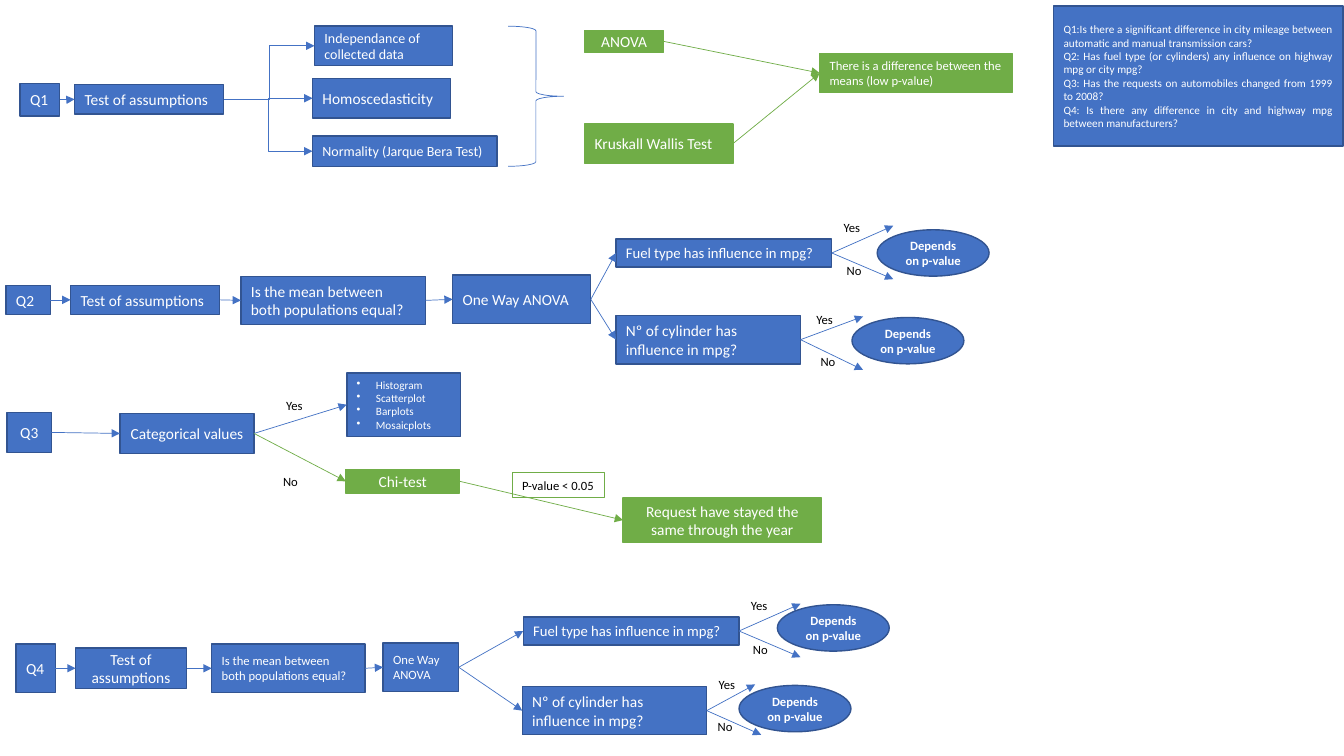
from lxml import etree
from pptx import Presentation
from pptx.dml.color import RGBColor
from pptx.enum.shapes import MSO_CONNECTOR, MSO_SHAPE
from pptx.enum.text import MSO_ANCHOR, PP_ALIGN
from pptx.oxml.ns import qn
from pptx.util import Inches, Pt

RECT, OVAL, BRACE = MSO_SHAPE.RECTANGLE, MSO_SHAPE.OVAL, MSO_SHAPE.RIGHT_BRACE
STRAIGHT, ELBOW = MSO_CONNECTOR.STRAIGHT, MSO_CONNECTOR.ELBOW
LEFT, CENTER, JUSTIFY = PP_ALIGN.LEFT, PP_ALIGN.CENTER, PP_ALIGN.JUSTIFY
TOP, MIDDLE = MSO_ANCHOR.TOP, MSO_ANCHOR.MIDDLE
FONT = "Calibri"
BLUE, NAVY, GREEN, WHITE, BLACK = "4472C4", "325491", "70AD47", "FFFFFF", "000000"

TEST = "Test of assumptions"
MEAN = "Is the mean between both populations equal?"
FUEL = "Fuel type has influence in mpg?"
CYLINDER = "Nº of cylinder has influence in mpg?"
VERDICT = "Depends on p-value"

# key: (text, (left, top, width, height), size, alignment)
BLUE_STEPS = {
    "q1": ("Q1", (0.2, 0.83, 0.39, 0.32), 11, LEFT),
    "test1": (TEST, (0.74, 0.84, 1.48, 0.29), 11, LEFT),
    "independence": ("Independance of collected data", (3.12, 0.26, 1.37, 0.39), 10, LEFT),
    "variance": ("Homoscedasticity", (3.1, 0.78, 1.37, 0.39), 11, LEFT),
    "normality": ("Normality (Jarque Bera Test)", (3.1, 1.35, 1.83, 0.3), 10, LEFT),
    "q2": ("Q2", (0.06, 2.83, 0.44, 0.29), 11, LEFT),
    "test2": (TEST, (0.7, 2.83, 1.48, 0.29), 11, LEFT),
    "mean2": (MEAN, (2.39, 2.74, 1.83, 0.48), 11, LEFT),
    "anova2": ("One Way ANOVA", (4.49, 2.73, 1.37, 0.48), 11, LEFT),
    "fuel2": (FUEL, (6.11, 2.37, 2.14, 0.28), 10.5, LEFT),
    "cylinder2": (CYLINDER, (6.11, 3.13, 1.83, 0.48), 11, LEFT),
    "q3": ("Q3", (0.07, 4.09, 0.44, 0.4), 11, CENTER),
    "categories": ("Categorical values", (1.19, 4.1, 1.33, 0.4), 11, CENTER),
    "q4": ("Q4", (0.16, 6.39, 0.39, 0.48), 11, LEFT),
    "test4": (TEST, (0.75, 6.43, 1.1, 0.4), 11, CENTER),
    "mean4": (MEAN, (2.1, 6.39, 1.52, 0.48), 9, LEFT),
    "anova4": ("One Way ANOVA", (3.8, 6.38, 0.75, 0.48), 9, LEFT),
    "fuel4": (FUEL, (5.19, 6.12, 2.14, 0.28), 10.5, LEFT),
    "cylinder4": (CYLINDER, (5.18, 6.81, 1.83, 0.48), 11, LEFT),
    "questions": (
        "Q1:Is there a significant difference in city mileage between automatic "
        "and manual transmission cars?\n"
        "Q2: Has fuel type (or cylinders) any influence on highway mpg or city mpg?\n"
        "Q3: Has the requests on automobiles changed from 1999 to 2008?\n"
        "Q4: Is there any difference in city and highway mpg between manufacturers?",
        (10.45, 0.06, 2.87, 1.39), 8, JUSTIFY),
    "plots": ("Histogram\nScatterplot\nBarplots\nMosaicplots",
              (3.44, 3.7, 1.13, 0.63), 8, LEFT),
}
GREEN_STEPS = {
    "anova1": ("ANOVA", (5.8, 0.3, 0.78, 0.22), 11, CENTER),
    "kruskall": ("Kruskall Wallis Test", (5.8, 1.23, 1.47, 0.39), 11, LEFT),
    "difference": ("There is a difference between the means (low p-value)",
                   (8.13, 0.53, 1.91, 0.39), 9, LEFT),
    "chi": ("Chi-test", (3.43, 4.66, 1.13, 0.23), 11, CENTER),
    "same": ("Request have stayed the same through the year",
             (6.18, 4.94, 1.97, 0.44), 11, CENTER),
}
STEPS = BLUE_STEPS | GREEN_STEPS
BRACE_AT = (5.04, 0.26, 0.55, 1.39)
THRESHOLD = ("P-value < 0.05", (5.08, 4.69, 0.92, 0.25))
ANSWERS = [("Yes", (2.74, 3.9)), ("No", (2.71, 4.65))]

# (connector, colour, [(from, to), ...])
LINKS = [
    (ELBOW, BLUE, [("q1", "test1"), ("test1", "independence"),
                   ("test1", "variance"), ("test1", "normality")]),
    (STRAIGHT, BLUE, [("q2", "test2"), ("test2", "mean2"), ("mean2", "anova2"),
                      ("anova2", "fuel2"), ("anova2", "cylinder2"),
                      ("q3", "categories"), ("categories", "plots"),
                      ("q4", "test4"), ("test4", "mean4"), ("mean4", "anova4"),
                      ("anova4", "fuel4"), ("anova4", "cylinder4")]),
    (STRAIGHT, GREEN, [("anova1", "difference"), ("kruskall", "difference"),
                       ("categories", "chi"), ("chi", "same")]),
]
# step: (yes tip, no tip, yes label, no label, verdict)
FORKS = {
    "fuel2": ((8.86, 2.24), (8.86, 2.77), (8.27, 2.13), (8.3, 2.56), (8.7, 2.28)),
    "cylinder2": ((8.56, 3.14), (8.56, 3.67), (8, 3.04), (8.04, 3.46), (8.45, 3.15)),
    "fuel4": ((7.94, 5.99), (7.94, 6.52), (7.35, 5.88), (7.37, 6.32), (7.71, 6)),
    "cylinder4": ((7.49, 6.79), (7.55, 7.29), (7.03, 6.67), (7.02, 7.08), (7.33, 6.8)),
}
LABEL_SIZE, VERDICT_SIZE = (0.46, 0.25), (1.11, 0.46)


def rgb(color):
    """Turn a hex string into a colour."""
    return RGBColor.from_string(color)


def write(shape, text, size, color, align=LEFT, anchor=TOP, bold=False):
    """Fill a shape with one paragraph per line of text."""
    frame = shape.text_frame
    frame.word_wrap, frame.vertical_anchor = True, anchor
    frame.text = text
    font_format = {"name": FONT, "size": Pt(size), "bold": bold}
    for paragraph in frame.paragraphs:
        paragraph.alignment = align
        for key, value in font_format.items():
            setattr(paragraph.font, key, value)
        paragraph.font.color.rgb = rgb(color)


def draw(kind, place, fill, line, width):
    """Add a preset shape, unfilled when fill is None."""
    shape = slide.shapes.add_shape(kind, *map(Inches, place))
    shape.shadow.inherit = False
    if fill:
        shape.fill.solid()
        shape.fill.fore_color.rgb = rgb(fill)
    else:
        shape.fill.background()
    shape.line.color.rgb, shape.line.width = rgb(line), Pt(width)
    return shape


def arrow(start, end, color, kind=STRAIGHT):
    """Add a thin connector with a triangle at its end."""
    connector = slide.shapes.add_connector(kind, *map(Inches, start + end))
    connector.line.color.rgb, connector.line.width = rgb(color), Pt(0.5)
    etree.SubElement(connector.line._get_or_add_ln(), qn("a:tailEnd"), type="triangle")
    etree.SubElement(connector._element.spPr, qn("a:effectLst"))


def side(step, right):
    """Return the middle of a step's right or left edge."""
    left, top, width, height = STEPS[step][1]
    return (left + width * right, top + height / 2)


def label(text, corner):
    """Add an answer beside an arrow."""
    box = slide.shapes.add_textbox(*map(Inches, corner + LABEL_SIZE))
    write(box, text, 9, BLACK)


def bullet(shape):
    """Give every paragraph a hanging bullet."""
    for paragraph in shape.text_frame.paragraphs:
        properties = paragraph._p.get_or_add_pPr()
        properties.set("marL", str(Inches(0.19)))
        properties.set("indent", str(-Inches(0.19)))
        mark = etree.Element(qn("a:buChar"), char="•")
        properties.insert(0, mark)


presentation = Presentation()
presentation.slide_width, presentation.slide_height = Inches(13.33), Inches(7.5)
slide = presentation.slides.add_slide(presentation.slide_layouts[6])

for steps, fill, outline in ((BLUE_STEPS, BLUE, NAVY), (GREEN_STEPS, GREEN, GREEN)):
    for step, (text, place, size, align) in steps.items():
        box = draw(RECT, place, fill, outline, 1)
        write(box, text, size, WHITE, align, MIDDLE)
        if step == "plots":
            bullet(box)

draw(BRACE, BRACE_AT, None, BLUE, 0.5)
threshold_text, threshold_at = THRESHOLD
write(draw(RECT, threshold_at, None, GREEN, 0.75), threshold_text, 9, BLACK)

for kind, color, pairs in LINKS:
    for source, target in pairs:
        arrow(side(source, True), side(target, False), color, kind)

for answer, corner in ANSWERS:
    label(answer, corner)

for step, (yes_tip, no_tip, yes_at, no_at, verdict_at) in FORKS.items():
    for answer, tip, corner in (("Yes", yes_tip, yes_at), ("No", no_tip, no_at)):
        arrow(side(step, True), tip, BLUE)
        label(answer, corner)
    verdict = draw(OVAL, verdict_at + VERDICT_SIZE, BLUE, NAVY, 1)
    write(verdict, VERDICT, 9, WHITE, CENTER, MIDDLE, bold=True)

presentation.save("out.pptx")
